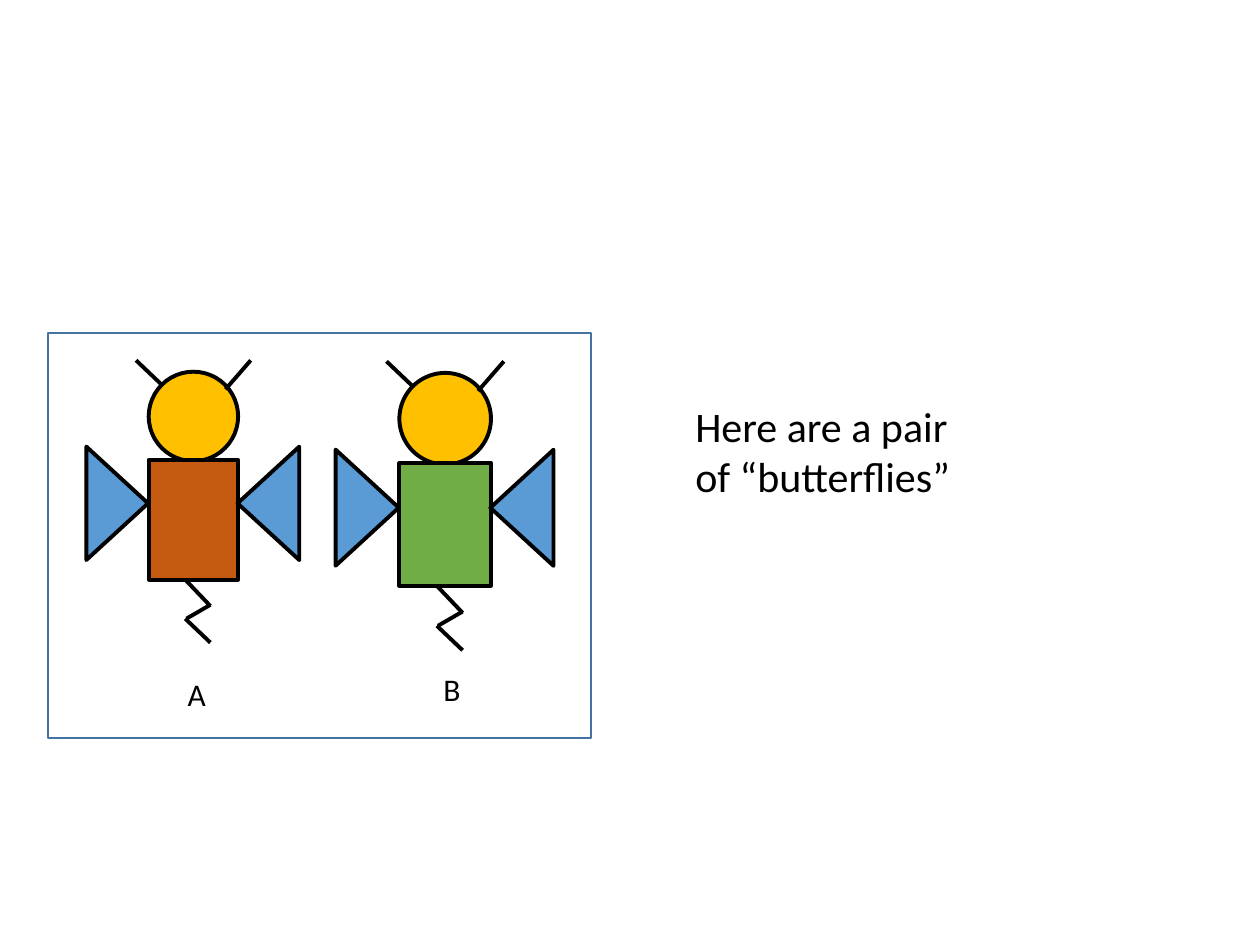
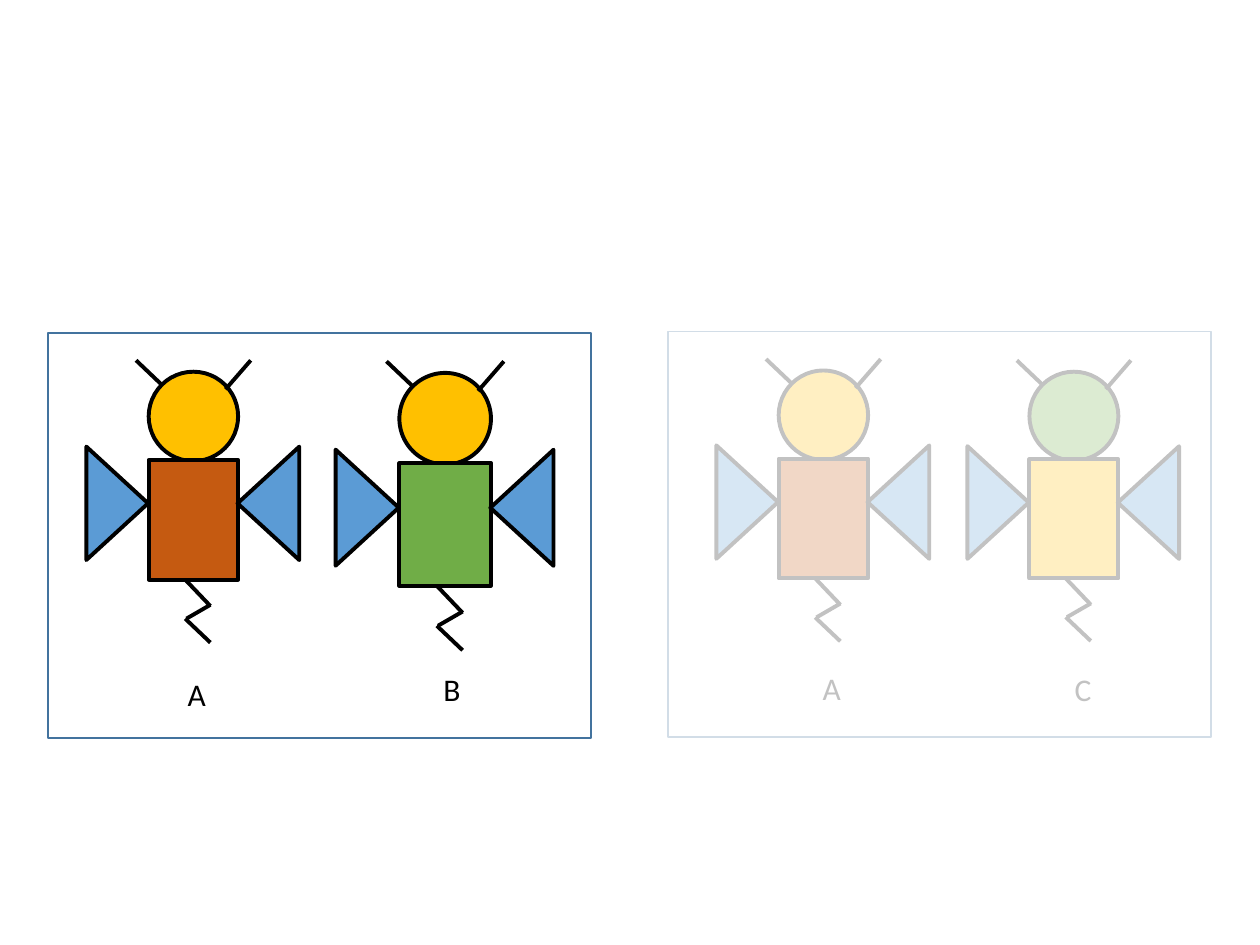
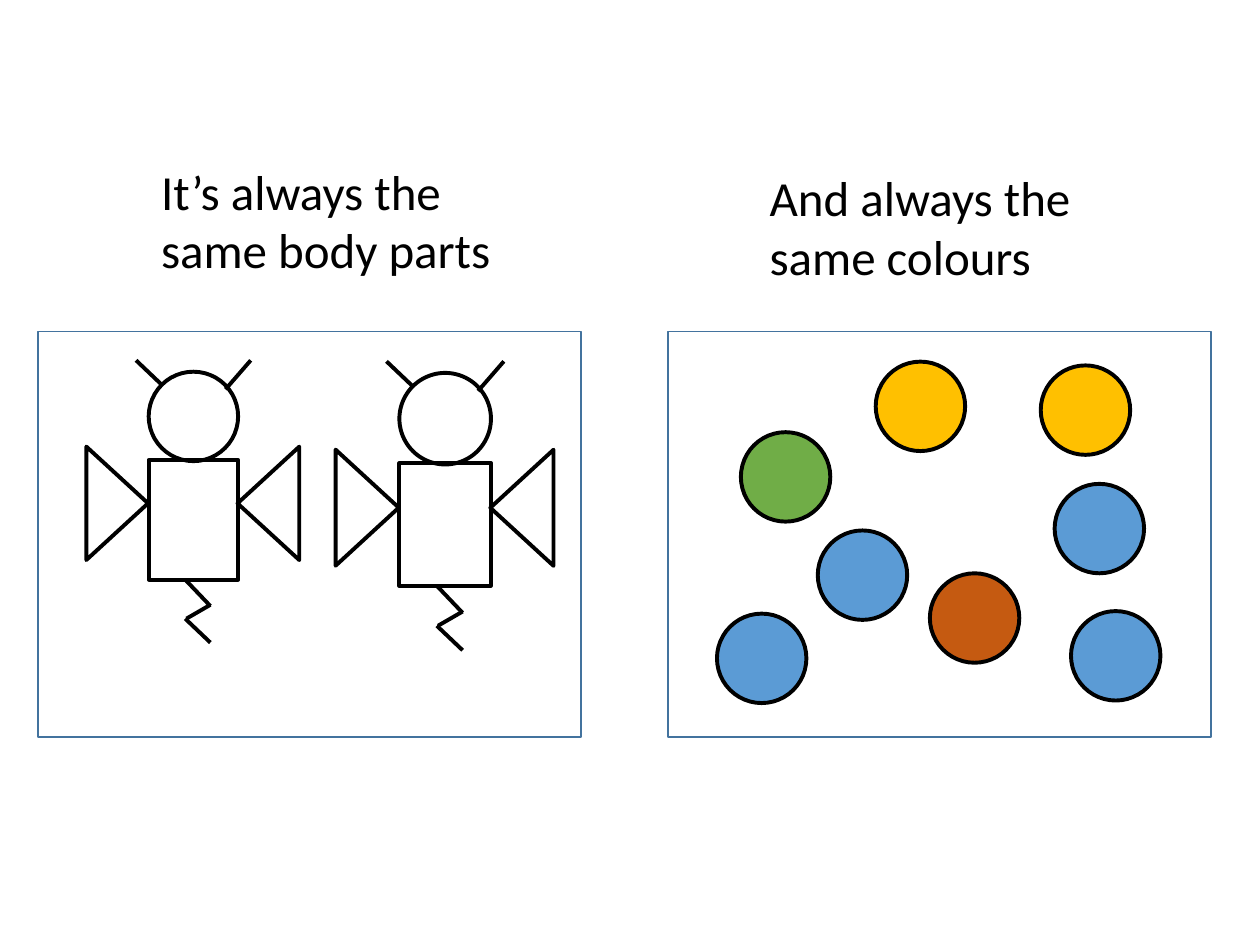
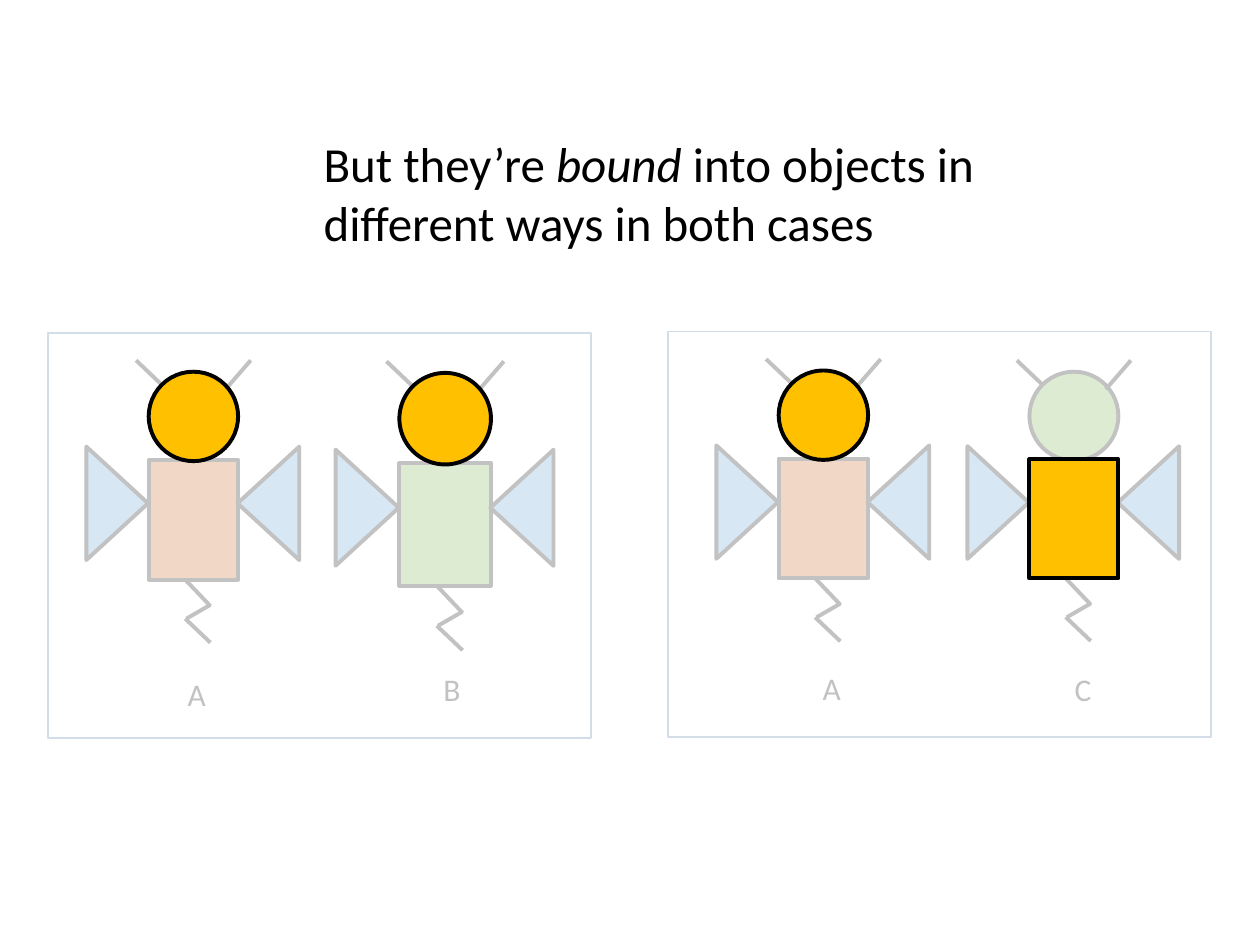
from collections import namedtuple
from dataclasses import dataclass

from lxml.etree import SubElement as Sub
from pptx import Presentation
from pptx.dml.color import RGBColor as Rgb
from pptx.enum.shapes import MSO_CONNECTOR as Link, MSO_SHAPE as Kind
from pptx.enum.text import MSO_AUTO_SIZE as Fit
from pptx.oxml.ns import qn
from pptx.util import Pt

SCALE = 9144


@dataclass(frozen=True)
class Theme:
    font: str = "Calibri"
    ink: str = "000000"
    frame: str = "43739E"
    veil: str = "FFFFFF"
    gold: str = "FFC000"
    rust: str = "C55A11"
    green: str = "70AD47"
    blue: str = "5B9BD5"
    bold: float = 2.25
    thin: float = 1
    tag: int = 18
    note: int = 24
    head: int = 28
    alpha: int = 76


LOOK = Theme()
SPAN = 169
LIMBS = {
    "head": (Kind.OVAL, (0, 0, 71, 71), 0),
    "body": (Kind.RECTANGLE, (0, 70, 71, 95), 0),
    "right": (Kind.ISOSCELES_TRIANGLE, (50, 80, 90, 49), 270),
    "left": (Kind.ISOSCELES_TRIANGLE, (-70, 80, 90, 49), 90),
}
LINES = [
    (29, 165, 49, 186),
    (49, 185, 30, 196),
    (29, 196, 49, 215),
    (-10, -9, 10, 10),
    (61, 14, 81, -9),
]

Bug = namedtuple("Bug", "name x y span head body tag")
ANN = Bug("A", 118, 295, 169, LOOK.gold, LOOK.rust, (139, 531, 37, 40))
BOB = Bug("B", 317, 296, 173, LOOK.gold, LOOK.green, (342, 527, 34, 40))
AMY = Bug("A", 618, 294, 169, LOOK.gold, LOOK.rust, (643, 526, 37, 40))
CAT = Bug("C", 817, 295, 168, LOOK.green, LOOK.gold, (843, 527, 38, 40))

PANE = (431, 322)
WEST = (38, 264, *PANE)
EAST = (530, 263, *PANE)


def emu(*sizes):
    return [round(size * SCALE) for size in sizes]


class Deck:
    def __init__(self, look):
        self.look = look
        self.file = Presentation()
        self.file.slide_width, self.file.slide_height = emu(1000, 750)
        self.slide = self.place = None

    def page(self):
        self.slide = self.file.slides.add_slide(self.file.slide_layouts[6])
        self.place = self.slide.shapes

    def shape(self, kind, box, fill=None, line=None, width=0, turn=0):
        item = self.place.add_shape(kind, *emu(*box))
        item.shadow.inherit = False
        item.rotation = turn
        if fill:
            item.fill.solid()
            item.fill.fore_color.rgb = Rgb.from_string(fill)
        else:
            item.fill.background()
        if line:
            item.line.color.rgb = Rgb.from_string(line)
            item.line.width = Pt(width)
        else:
            item.line.fill.background()
        return item

    def stroke(self, ends):
        item = self.place.add_connector(Link.STRAIGHT, *emu(*ends))
        item.line.color.rgb = Rgb.from_string(self.look.ink)
        item.line.width = Pt(self.look.bold)
        Sub(item._element.spPr, qn("a:effectLst"))

    def text(self, box, words, size, wrap=True):
        frame = self.place.add_textbox(*emu(*box)).text_frame
        frame.word_wrap = wrap
        frame.auto_size = Fit.SHAPE_TO_FIT_TEXT
        for spot, piece in enumerate(words.split("*")):
            run = frame.paragraphs[0].add_run()
            run.text = piece
            run.font.name = self.look.font
            run.font.size = Pt(size)
            run.font.italic = spot % 2 == 1
            run.font.color.rgb = Rgb.from_string(self.look.ink)

    def frame(self, box):
        self.shape(Kind.RECTANGLE, box, None, self.look.frame, self.look.thin)

    def veil(self, box):
        item = self.shape(Kind.RECTANGLE, box, self.look.veil)
        tint = item._element.spPr.find(".//" + qn("a:srgbClr"))
        Sub(tint, qn("a:alpha")).set("val", str(self.look.alpha * 1000))

    def disc(self, x, y, fill):
        self.shape(Kind.OVAL, (x, y, 71, 71), fill, self.look.ink, self.look.bold)

    def limb(self, bug, name, full=True):
        kind, (x, y, wide, high), turn = LIMBS[name]
        zoom = bug.span / SPAN
        box = (bug.x + x * zoom, bug.y + y * zoom, wide * zoom, high * zoom)
        hues = {"head": bug.head, "body": bug.body}
        fill = hues.get(name, self.look.blue) if full else None
        self.shape(kind, box, fill, self.look.ink, self.look.bold, turn)

    def bug(self, bug, full=True, skip="", group=False):
        if group:
            self.place = self.slide.shapes.add_group_shape().shapes
        for name in LIMBS:
            if name != skip:
                self.limb(bug, name, full)
        zoom = bug.span / SPAN
        for ends in LINES:
            self.stroke([base + step * zoom for base, step in
                         zip((bug.x, bug.y) * 2, ends)])
        self.place = self.slide.shapes

    def tags(self, *bugs):
        for bug in bugs:
            self.text(bug.tag, bug.name, self.look.tag, False)


def main():
    deck = Deck(LOOK)

    deck.page()
    for bug in (ANN, BOB):
        deck.bug(bug, group=True)
    deck.tags(ANN, BOB)
    deck.frame(WEST)
    deck.text((542, 313, 243, 91), "Here are a pair of “butterflies”", LOOK.note)

    deck.page()
    for bug in (ANN, CAT, BOB, AMY):
        deck.bug(bug, group=True)
    deck.tags(ANN, BOB, AMY, CAT)
    deck.frame(WEST)
    deck.frame(EAST)
    deck.veil((497, 179, 503, 474))

    deck.page()
    for bug in (ANN, BOB):
        deck.bug(bug, full=False)
    deck.frame(EAST)
    deck.frame((30, 263, *PANE))
    deck.text((118, 123, 297, 104), "It’s always the same body parts", LOOK.head)
    deck.text((601, 128, 297, 104), "And always the same colours", LOOK.head)
    discs = {
        LOOK.green: [(588, 343)],
        LOOK.gold: [(695, 287), (826, 290)],
        LOOK.blue: [(569, 487), (649, 421), (850, 485), (837, 384)],
        LOOK.rust: [(738, 455)],
    }
    for fill, spots in discs.items():
        for x, y in spots:
            deck.disc(x, y, fill)

    deck.page()
    bound = [(ANN, "head"), (CAT, "body"), (BOB, "head"), (AMY, "head")]
    for bug, name in bound:
        deck.bug(bug, skip=name)
    deck.tags(ANN, BOB, AMY, CAT)
    deck.frame(WEST)
    deck.frame(EAST)
    deck.veil((4, 179, 996, 474))
    for bug, name in bound:
        deck.limb(bug, name)
    deck.text((247, 101, 600, 104),
              "But they’re *bound* into objects in different ways in both cases",
              LOOK.head)

    deck.file.save("out.pptx")


if __name__ == "__main__":
    main()
